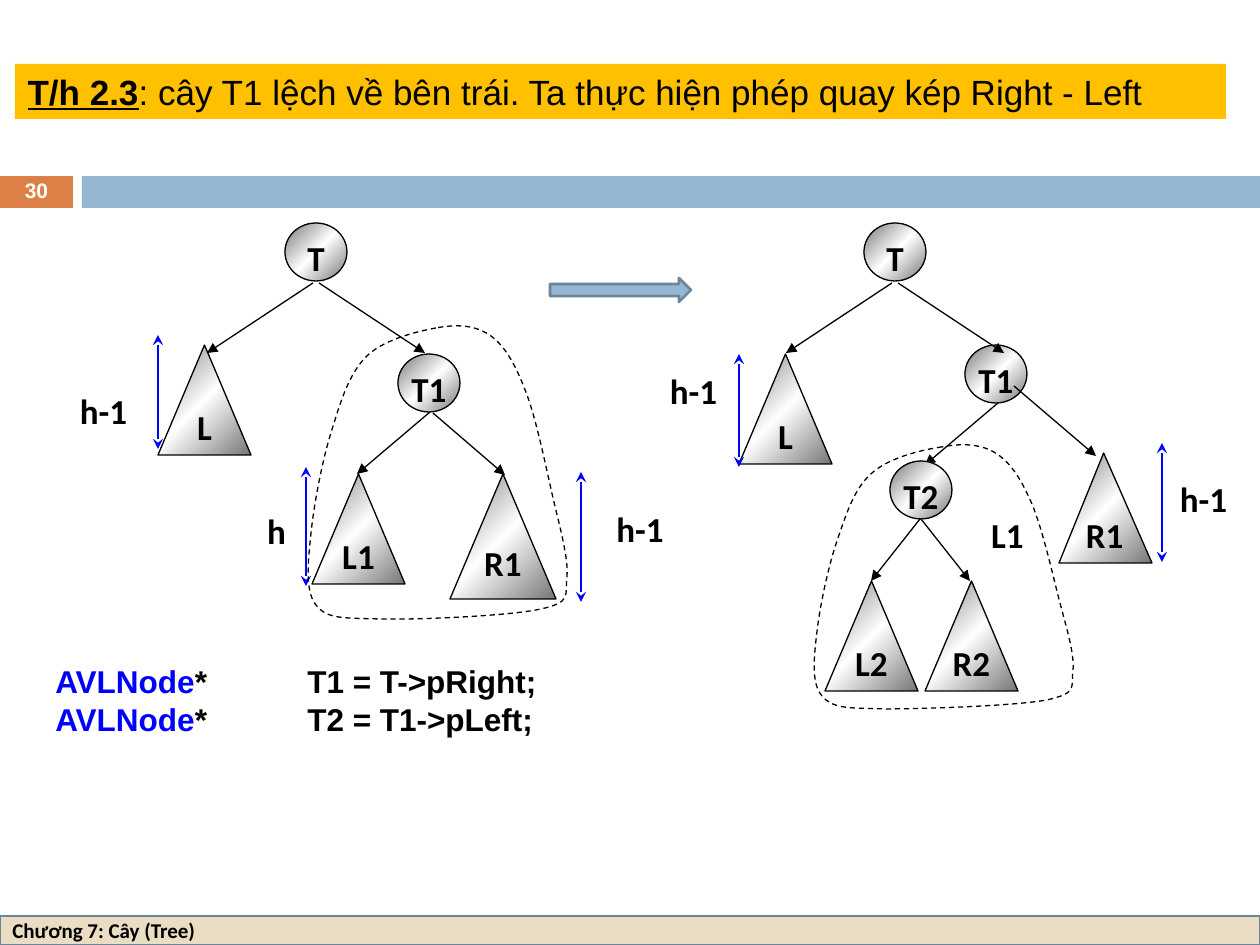
from copy import deepcopy

from lxml.etree import SubElement
from pptx import Presentation
from pptx.dml.color import RGBColor
from pptx.enum.dml import MSO_LINE
from pptx.enum.shapes import MSO_CONNECTOR, MSO_SHAPE
from pptx.enum.text import MSO_ANCHOR, MSO_AUTO_SIZE, PP_ALIGN
from pptx.oxml.ns import qn
from pptx.util import Inches, Pt

PX = 914400 / 126
BLACK = RGBColor(0, 0, 0)
WHITE = RGBColor(255, 255, 255)
GRAY = RGBColor(0x76, 0x76, 0x76)
BLUE = RGBColor(0, 0, 255)
GOLD = RGBColor(0xFF, 0xC0, 0)
ORANGE = RGBColor(0xDD, 0x80, 0x47)
STEEL = RGBColor(0x94, 0xB6, 0xD2)
SLATE = RGBColor(0x6B, 0x85, 0x9A)
SAND = RGBColor(0xEB, 0xDD, 0xC3)

# Content
TITLE = ("T/h 2.3", ": cây T1 lệch về bên trái. Ta thực hiện phép quay kép Right - Left")
FOOTER = "Chương 7: Cây (Tree)"
PAGE = "30"
CODE = [("AVLNode", "*\tT1 = T->pRight;"), ("AVLNode", "*\tT2 = T1->pLeft;")]
NODES = [("T", 285, 223), ("T1", 398, 354), ("T", 864, 223), ("T1", 965, 345)]
TOP_NODES = [("T2", 890, 461)]
# Subtrees: name, left, top, width, height, apex
TREES = [
    ("L", 158, 345, 93, 110, 0.5), ("L1", 312, 474, 93, 110, 0.5),
    ("R1", 450, 474, 106, 125, 0.5), ("L", 739, 354, 93, 110, 0.5),
    ("R1", 1059, 453, 93, 110, 0.48), ("L2", 825, 581, 93, 110, 0.5),
    ("R2", 925, 581, 93, 110, 0.5),
]
LINKS = [
    (313, 283, 207, 353), (319, 283, 425, 353),
    (430, 412, 357, 474), (433, 413, 505, 475),
    (892, 283, 786, 353), (898, 283, 1004, 353),
    (998, 403, 925, 465), (1014, 386, 1096, 456),
    (920, 519, 871, 581), (921, 519, 970, 581),
]
# Height marks: x, top, bottom
MARKS = [(581, 472, 602), (306, 467, 586), (158, 335, 449),
         (1162, 443, 562), (739, 354, 467)]
LABELS = [
    ("h-1", 591, 502, 98), ("h", 245, 504, 63), ("h-1", 69, 384, 69),
    ("h-1", 1172, 472, 63), ("L1", 976, 508, 63), ("h-1", 659, 364, 69),
]
# Dashed outline: knots of a closed smooth curve, then left, top, y scale
KNOTS = [(131, 3), (60, 33), (26, 108), (6, 209), (11, 280), (74, 294),
         (236, 284), (262, 252), (247, 168), (221, 67), (186, 11)]
LOOPS = [(305, 325, 1), (811, 444, 0.9)]

# Formats
NODE = dict(name="Calibri", size=Pt(20), bold=True)
FOOT = dict(name="Calibri", size=Pt(12), bold=True)
NUM = dict(name="Arial", size=Pt(12), bold=True)
CODING = dict(name="Arial", size=Pt(18), bold=True)
HEAD = dict(name="Arial", size=Pt(20), bold=False, underline=False)
LEAD = dict(HEAD, bold=True, underline=True)

prs = Presentation()
prs.slide_width, prs.slide_height = Inches(10), Inches(7.5)
slide = prs.slides.add_slide(prs.slide_layouts[5])
shapes = slide.shapes


def emu(*vals):
    return [round(v * PX) for v in vals]


def put(par, text, form, color=BLACK):
    run = par.add_run()
    run.text = text
    for key, val in form.items():
        setattr(run.font, key, val)
    run.font.color.rgb = color


def label(shape, text, form, color=BLACK, align=PP_ALIGN.CENTER, pitch=1.0,
          anchor=MSO_ANCHOR.MIDDLE):
    frame = shape.text_frame
    frame.word_wrap = True
    frame.vertical_anchor = anchor
    par = frame.paragraphs[0]
    par.alignment, par.line_spacing = align, pitch
    put(par, text, form, color)


def tag(shape, text):
    frame = shape.text_frame
    for side in ("left", "top", "right", "bottom"):
        setattr(frame, "margin_" + side, 0)
    label(shape, text, NODE, pitch=1.13, anchor=MSO_ANCHOR.TOP)


def block(kind, box, fill, edge=None):
    shape = shapes.add_shape(kind, *emu(*box))
    shape.shadow.inherit = False
    shape.fill.solid()
    shape.fill.fore_color.rgb = fill
    if edge is None:
        shape.line.fill.background()
    else:
        shape.line.color.rgb, shape.line.width = edge, Pt(1.5)
    return shape


def metal(kind, name, box):
    shape = block(kind, box, GRAY, BLACK)
    shape.line.width = Pt(0.75)
    shape.fill.gradient()
    shape.fill.gradient_angle = 315
    stops = shape.element.find(".//" + qn("a:gsLst"))
    stops.append(deepcopy(stops[0]))
    for stop, color, pos in zip(shape.fill.gradient_stops, (GRAY, WHITE, GRAY), (0, 0.5, 1)):
        stop.color.rgb, stop.position = color, pos
    tag(shape, name)
    return shape


def circles(nodes):
    for name, x, y in nodes:
        metal(MSO_SHAPE.OVAL, name, (x, y, 62, 58))


def arrow(ends, color, **tips):
    line = shapes.add_connector(MSO_CONNECTOR.STRAIGHT, *emu(*ends))
    line.line.color.rgb, line.line.width = color, Pt(0.75)
    for end, tip in tips.items():
        SubElement(line.get_or_add_ln(), qn("a:" + end), type=tip)
    SubElement(line.element.spPr, qn("a:effectLst"))


def curve(knots):
    """Two handles and an end point for each span of a closed smooth curve."""
    size = len(knots)
    for i in range(size):
        a, b, c, d = (knots[(i + j) % size] for j in (-1, 0, 1, 2))
        yield tuple(q + (r - p) / 6 for p, q, r in zip(a, b, c))
        yield tuple(r - (s - q) / 6 for q, r, s in zip(b, c, d))
        yield c


def bend(shape):
    """Turn each three straight steps into one cubic curve."""
    steps = shape.element.findall(".//" + qn("a:lnTo"))
    for i in range(0, len(steps), 3):
        cubic = steps[i].makeelement(qn("a:cubicBezTo"))
        steps[i].addprevious(cubic)
        for step in steps[i:i + 3]:
            cubic.append(step[0])
            step.getparent().remove(step)


# Header and footer bands
block(MSO_SHAPE.RECTANGLE, (0, 176, 73, 32), ORANGE)
block(MSO_SHAPE.RECTANGLE, (82, 176, 1178, 32), STEEL)
foot = block(MSO_SHAPE.RECTANGLE, (0, 916, 1260, 29), SAND, SLATE)
label(foot, FOOTER, FOOT, align=PP_ALIGN.LEFT)
label(shapes.add_textbox(*emu(0, 175, 73, 34)), PAGE, NUM, WHITE, pitch=0.8)

# Trees before and after the rotation
circles(NODES)
for name, *box, apex in TREES:
    tree = metal(MSO_SHAPE.ISOSCELES_TRIANGLE, name, box)
    tree.adjustments[0] = apex
for ends in LINKS:
    arrow(ends, BLACK, tailEnd="triangle")
circles(TOP_NODES)

# Heights and their labels
for x, top, low in MARKS:
    arrow((x, top, x, low), BLUE, headEnd="stealth", tailEnd="stealth")
for text, x, y, wide in LABELS:
    tag(shapes.add_textbox(*emu(x, y, wide, 53)), text)

# Dashed outlines
for left, top, ratio in LOOPS:
    dots = [(left + x, top + y * ratio) for x, y in curve(KNOTS)]
    pen = shapes.build_freeform(*dots[-1], scale=PX)
    pen.add_line_segments(dots, close=True)
    loop = pen.convert_to_shape()
    bend(loop)
    loop.shadow.inherit = False
    loop.fill.background()
    loop.line.color.rgb, loop.line.width = BLACK, Pt(0.75)
    loop.line.dash_style = MSO_LINE.DASH

block(MSO_SHAPE.RIGHT_ARROW, (550, 278, 141, 24), STEEL, SLATE)

# Code lines
frame = shapes.add_textbox(*emu(43, 656, 539, 126)).text_frame
frame.word_wrap = True
for i, (kind, rest) in enumerate(CODE):
    par = frame.add_paragraph() if i else frame.paragraphs[0]
    tabs = SubElement(par._p.get_or_add_pPr(), qn("a:tabLst"))
    SubElement(tabs, qn("a:tab"), pos=str(Inches(2)), algn="l")
    put(par, kind, CODING, BLUE)
    put(par, rest, CODING)

# Title
title = shapes.title
title.left, title.top, title.width, title.height = emu(15, 64, 1211, 55)
title.fill.solid()
title.fill.fore_color.rgb = GOLD
title.text_frame.auto_size = MSO_AUTO_SIZE.NONE
label(title, TITLE[0], LEAD, align=PP_ALIGN.LEFT, anchor=MSO_ANCHOR.TOP)
put(title.text_frame.paragraphs[0], TITLE[1], HEAD)

prs.save("out.pptx")
